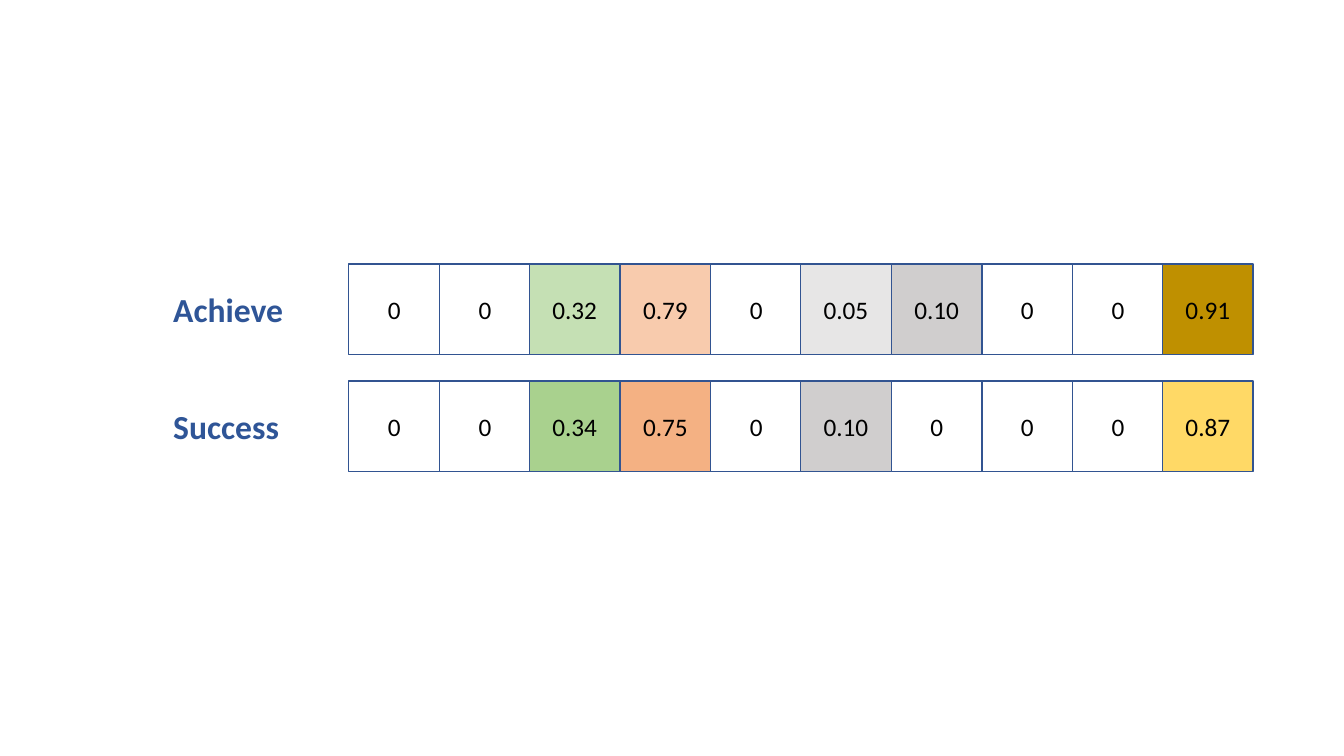
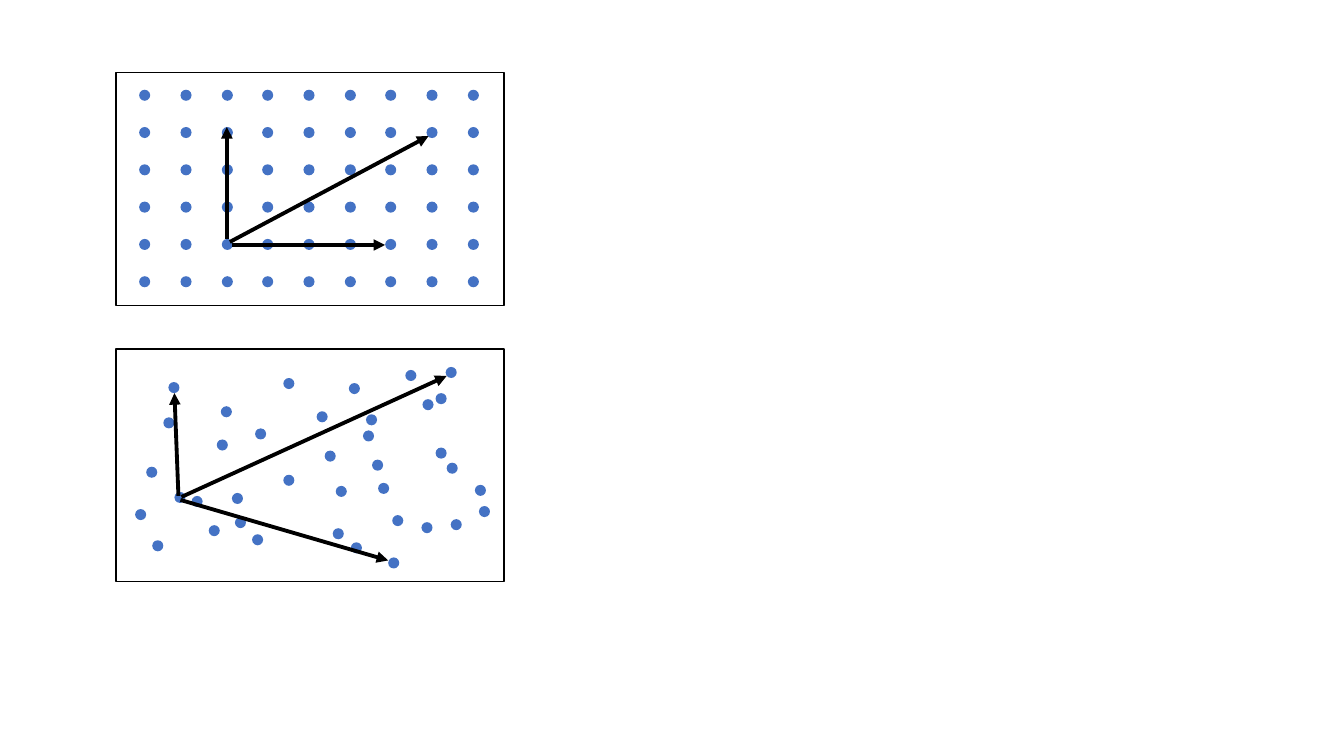
from typing import NamedTuple

from lxml.etree import SubElement
from pptx import Presentation
from pptx.dml.color import RGBColor
from pptx.enum.shapes import MSO_CONNECTOR, MSO_SHAPE as Kind
from pptx.enum.text import MSO_ANCHOR, MSO_AUTO_SIZE, PP_ALIGN
from pptx.oxml.ns import qn
from pptx.shapes.autoshape import Shape
from pptx.slide import Slide
from pptx.text.text import TextFrame
from pptx.util import Emu, Pt

PX = 9144  # EMU, so that 100 px make an inch
FONT = "Calibri"

BLACK = RGBColor(0x00, 0x00, 0x00)
WHITE = RGBColor(0xFF, 0xFF, 0xFF)
EDGE = RGBColor(0x32, 0x54, 0x91)
NAVY = RGBColor(0x2F, 0x55, 0x97)
BLUE = RGBColor(0x44, 0x72, 0xC4)
MINT = RGBColor(0xC5, 0xE0, 0xB4)
GREEN = RGBColor(0xA9, 0xD1, 0x8E)
PEACH = RGBColor(0xF8, 0xCB, 0xAD)
ORANGE = RGBColor(0xF4, 0xB1, 0x83)
PALE = RGBColor(0xE7, 0xE6, 0xE6)
GREY = RGBColor(0xD0, 0xCE, 0xCE)
GOLD = RGBColor(0xBF, 0x90, 0x00)
YELLOW = RGBColor(0xFF, 0xD9, 0x66)


class Box(NamedTuple):
    x: int
    y: int
    w: int
    h: int


class Vector(NamedTuple):
    word: str
    top: int
    values: list[str]
    tints: dict[int, RGBColor]


class Arrow(NamedTuple):
    x1: int
    y1: int
    x2: int
    y2: int


VECTORS = [
    Vector("Achieve", 262,
           ["0", "0", "0.32", "0.79", "0", "0.05", "0.10", "0", "0", "0.91"],
           {2: MINT, 3: PEACH, 5: PALE, 6: GREY, 9: GOLD}),
    Vector("Success", 378,
           ["0", "0", "0.34", "0.75", "0", "0.10", "0", "0", "0", "0.87"],
           {2: GREEN, 3: ORANGE, 5: GREY, 9: YELLOW}),
]
CELL = 90
ROW_LEFT, ROW_SPAN = 346, 897

DOT = 11
COLS, ROWS = 9, 6
GRID_LEFT, GRID_SPAN = 138, 326
GRID_TOP, GRID_STEP = 89, 37
GRID = [(round(GRID_LEFT + GRID_SPAN * col / (COLS - 1)), GRID_TOP + GRID_STEP * row)
        for col in range(COLS) for row in range(ROWS)]
SCATTER = [
    (281, 375), (162, 414), (215, 436), (314, 408), (233, 513), (250, 530),
    (173, 488), (281, 471), (330, 524), (333, 482), (360, 427), (322, 447),
    (253, 425), (219, 403), (167, 379), (145, 463), (369, 456), (375, 479),
    (432, 444), (447, 515), (471, 481), (432, 390), (475, 502), (348, 538),
    (389, 511), (385, 553), (418, 518), (443, 459), (151, 536), (207, 521),
    (230, 489), (190, 492), (134, 505), (363, 411), (419, 396), (442, 364),
    (402, 367), (346, 380),
]
ARROWS = [
    Arrow(225, 237, 225, 126), Arrow(230, 243, 382, 243),
    Arrow(179, 496, 385, 556), Arrow(228, 240, 425, 135),
    Arrow(177, 492, 173, 390), Arrow(180, 493, 443, 373),
]
FRAMES = [Box(115, top, 385, 231) for top in (72, 346)]


def px(*sizes: int) -> list[Emu]:
    return [Emu(size * PX) for size in sizes]


def add_shape(slide: Slide, kind: Kind, box: Box, fill: RGBColor | None = None,
              line: RGBColor | None = None, width: float = 1) -> Shape:
    shape = slide.shapes.add_shape(kind, *px(*box))
    shape.shadow.inherit = False
    if fill is None:
        shape.fill.background()
    else:
        shape.fill.solid()
        shape.fill.fore_color.rgb = fill
    if line is None:
        shape.line.fill.background()
    else:
        shape.line.color.rgb = line
        shape.line.width = Pt(width)
    return shape


def set_text(frame: TextFrame, text: str, size: int, color: RGBColor,
             align: PP_ALIGN, bold: bool = False) -> None:
    frame.text = text
    frame.word_wrap = True
    para = frame.paragraphs[0]
    para.alignment = align
    font = para.runs[0].font
    font.name, font.size, font.bold = FONT, Pt(size), bold
    font.color.rgb = color


def add_vector(slide: Slide, vector: Vector) -> None:
    """Draw the word and its row of cells."""
    count = len(vector.values)
    for i, value in enumerate(vector.values):
        left = round(ROW_LEFT + ROW_SPAN * i / count)
        cell = add_shape(slide, Kind.RECTANGLE, Box(left, vector.top, CELL, CELL),
                         vector.tints.get(i, WHITE), EDGE)
        cell.text_frame.vertical_anchor = MSO_ANCHOR.MIDDLE
        set_text(cell.text_frame, value, 18, BLACK, PP_ALIGN.CENTER)
    label = slide.shapes.add_textbox(*px(162, vector.top + 20, 160, 50))
    set_text(label.text_frame, vector.word, 24, NAVY, PP_ALIGN.LEFT, bold=True)
    label.text_frame.auto_size = MSO_AUTO_SIZE.SHAPE_TO_FIT_TEXT


def add_arrow(slide: Slide, arrow: Arrow) -> None:
    link = slide.shapes.add_connector(MSO_CONNECTOR.STRAIGHT, *px(*arrow))
    link.line.color.rgb = BLACK
    link.line.width = Pt(2.75)
    props = link.element.spPr
    SubElement(props.find(qn("a:ln")), qn("a:tailEnd"), type="triangle")
    SubElement(props, qn("a:effectLst"))


def draw_vectors(slide: Slide) -> None:
    for vector in VECTORS:
        add_vector(slide, vector)


def draw_spaces(slide: Slide) -> None:
    """Draw the even and the uneven field of dots, with their arrows."""
    for x, y in GRID + SCATTER:
        add_shape(slide, Kind.OVAL, Box(x, y, DOT, DOT), BLUE)
    for arrow in ARROWS:
        add_arrow(slide, arrow)
    for frame in FRAMES:
        add_shape(slide, Kind.RECTANGLE, frame, line=BLACK, width=1.25)


def main() -> None:
    deck = Presentation()
    deck.slide_width, deck.slide_height = px(1333, 750)
    blank = deck.slide_layouts[6]
    for draw in (draw_vectors, draw_spaces):
        draw(deck.slides.add_slide(blank))
    deck.save("out.pptx")


if __name__ == "__main__":
    main()
